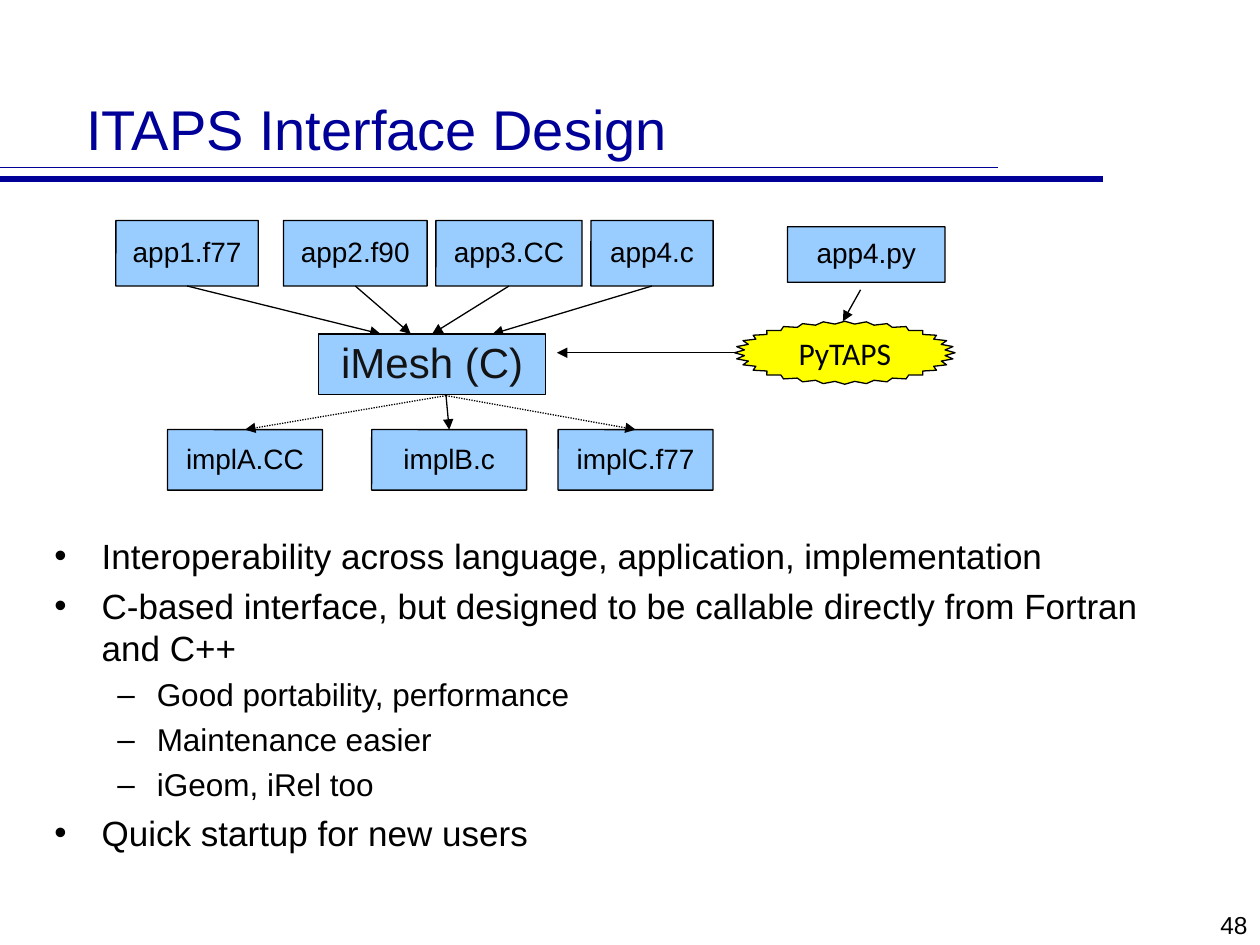
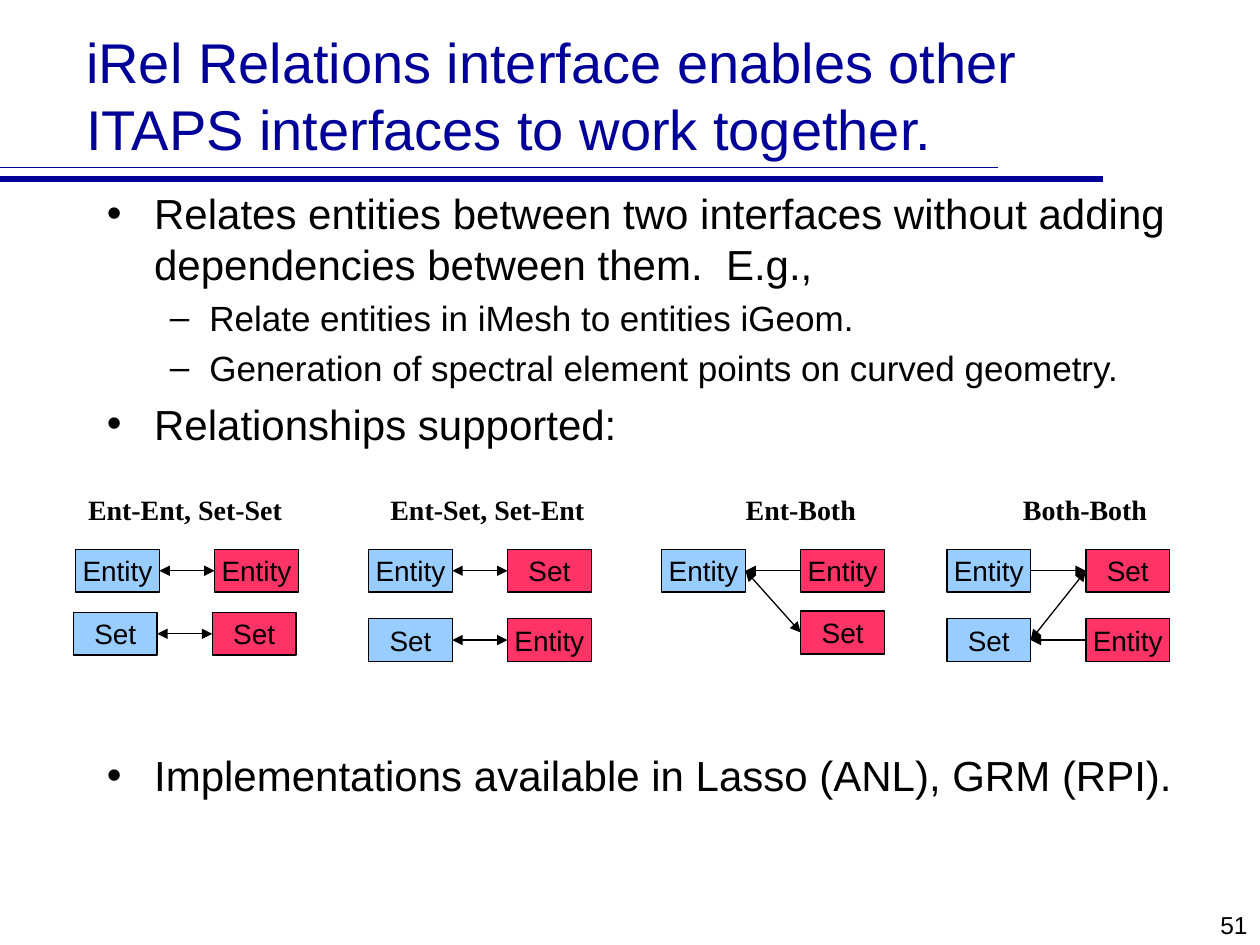
from lxml.etree import SubElement
from pptx import Presentation
from pptx.dml.color import RGBColor
from pptx.enum.dml import MSO_LINE
from pptx.enum.shapes import MSO_CONNECTOR, MSO_SHAPE as SHAPE
from pptx.enum.text import MSO_ANCHOR as ANCHOR, MSO_AUTO_SIZE, PP_ALIGN as ALIGN
from pptx.oxml.ns import qn
from pptx.util import Inches, Pt

NAVY = RGBColor(0x00, 0x00, 0x99)
BLACK = RGBColor(0x00, 0x00, 0x00)
CHARCOAL = RGBColor(0x13, 0x13, 0x13)
SKY = RGBColor(0x99, 0xCC, 0xFF)
ROSE = RGBColor(0xFF, 0x33, 0x66)
YELLOW = RGBColor(0xFF, 0xFF, 0x00)

WIDTH, HEIGHT = Inches(10), Inches(7.5)
COLUMNS = 100
CELL = WIDTH // COLUMNS

BULLETS = [
    {"char": "•", "margin": 3.75, "hang": 3.75},
    {"char": "–", "margin": 8.13, "hang": 3.13},
]
BASE_FONT = {"name": "Arial", "size": 16, "color": BLACK}

APPS = [
    ("app1.f77", 9.2, 11.3, 30.2),
    ("app2.f90", 22.5, 11.4, 32.6),
    ("app3.CC", 34.6, 11.6, 34.3),
    ("app4.c", 46.9, 9.7, 39.1),
]
IMPLEMENTATIONS = [
    ("implA.CC", 13.3, MSO_LINE.ROUND_DOT),
    ("implB.c", 29.5, None),
    ("implC.f77", 44.3, MSO_LINE.ROUND_DOT),
]
DESIGN_POINTS = [
    (0, "Interoperability across language, application, implementation", 20, 0),
    (0, "C-based interface, but designed to be callable directly from Fortran and C++", 20, 4.6),
    (1, "Good portability, performance", 18, 4.1),
    (1, "Maintenance easier", 18, 4.1),
    (1, "iGeom, iRel too", 18, 4.1),
    (0, "Quick startup for new users", 20, 4.6),
]
RELATION_POINTS = [
    (0, "Relates entities between two interfaces without adding dependencies between them.  E.g.,", 24, 0),
    (1, "Relate entities in iMesh to entities iGeom.", 20, 4.6),
    (1, "Generation of spectral element points on curved geometry.", 20, 4.6),
    (0, "Relationships supported:", 24, 5.5),
    (0, "Implementations available in Lasso (ANL), GRM (RPI).", 24, 172),
]

BOTH, LEFT, RIGHT = ("headEnd", "tailEnd"), ("headEnd",), ("tailEnd",)
BOX_W, BOX_H, PAIR_STEP = 6.65, 3.4, 11.03
FIRST_ROW = 43.6
RELATIONS = [
    {"heading": ("Ent-Ent, Set-Set", 6, 17.5), "left": 6, "second_row": 48.6, "shift": -0.18,
     "sources": ["Entity", "Set"], "targets": ["Entity", "Set"],
     "links": [(0, 0, BOTH), (1, 1, BOTH)]},
    {"heading": ("Ent-Set, Set-Ent", 30, 17.5), "left": 29.25, "second_row": 49.1, "shift": 0,
     "sources": ["Entity", "Set"], "targets": ["Set", "Entity"],
     "links": [(0, 0, BOTH), (1, 1, BOTH)]},
    {"heading": ("Ent-Both", 58.2, 10.8), "left": 52.52, "second_row": 48.5, "shift": 0,
     "sources": ["Entity"], "targets": ["Entity", "Set"],
     "links": [(0, 1, BOTH), (0, 0, LEFT)]},
    {"heading": ("Both-Both", 80.2, 11.9), "left": 75.15, "second_row": 49.1, "shift": 0,
     "sources": ["Entity", "Set"], "targets": ["Set", "Entity"],
     "links": [(1, 0, BOTH), (0, 0, RIGHT), (1, 1, LEFT)]},
]


def grid(*cells):
    return [round(c * CELL) for c in cells]


def format_font(font, **values):
    values = BASE_FONT | values
    font.color.rgb = values.pop("color")
    values["size"] = Pt(values["size"])
    for name, value in values.items():
        setattr(font, name, value)


def write(p, text, align=ALIGN.LEFT, **font):
    r = p.add_run()
    r.text = text
    p.alignment = align
    format_font(r.font, **font)


def add_text(s, text, at, align=ALIGN.LEFT, **font):
    tf = s.shapes.add_textbox(*grid(*at)).text_frame
    tf.word_wrap = False
    write(tf.paragraphs[0], text, align, **font)


def add_box(s, text, at, fill=SKY, shape=SHAPE.RECTANGLE, adjust=None, spacing=1.0, **font):
    sp = s.shapes.add_shape(shape, *grid(*at))
    sp.shadow.inherit = False
    sp.fill.solid()
    sp.fill.fore_color.rgb = fill
    sp.line.color.rgb = BLACK
    sp.line.width = Pt(0.75)
    if adjust is not None:
        sp.adjustments[0] = adjust
    tf = sp.text_frame
    tf.word_wrap = False
    tf.vertical_anchor = ANCHOR.MIDDLE
    p = tf.paragraphs[0]
    p.line_spacing = spacing
    write(p, text, ALIGN.CENTER, **font)


def add_program(s, text, at):
    add_box(s, text, at, shape=SHAPE.ROUNDED_RECTANGLE, adjust=0.003, spacing=0.93)


def add_line(s, start, end, color=BLACK, width=0.75, ends=(), dash=None):
    line = s.shapes.add_connector(MSO_CONNECTOR.STRAIGHT, *grid(*start, *end))
    line.line.color.rgb = color
    line.line.width = Pt(width)
    if dash:
        line.line.dash_style = dash
    for end_name in ends:
        SubElement(line.line._get_or_add_ln(), qn(f"a:{end_name}"), type="triangle")
    SubElement(line._element.spPr, qn("a:effectLst"))


def add_bullets(s, points, at):
    tf = s.shapes.add_textbox(*grid(*at)).text_frame
    tf.word_wrap = True
    for i, (level, text, size, before) in enumerate(points):
        p = tf.add_paragraph() if i else tf.paragraphs[0]
        p.level = level
        bullet = BULLETS[level]
        margin, hang = grid(bullet["margin"], bullet["hang"])
        pPr = p._p.get_or_add_pPr()
        pPr.set("marL", str(margin))
        pPr.set("indent", str(-hang))
        SubElement(pPr, qn("a:buFont"), typeface="Arial")
        SubElement(pPr, qn("a:buChar"), char=bullet["char"])
        p.space_before = Pt(before)
        write(p, text, size=size)


def add_slide(prs, title, number):
    s = prs.slides.add_slide(prs.slide_layouts[5])
    for y, length, width in [(13.3, 79.2, 1), (14.2, 87.5, 3)]:
        add_line(s, (0, y), (length, y), NAVY, width)
    sp = s.shapes.title
    sp.left, sp.top, sp.width, sp.height = grid(5.83, 2.5, 76.7, 10.83)
    tf = sp.text_frame
    for name, value in {"word_wrap": True, "vertical_anchor": ANCHOR.BOTTOM,
                        "auto_size": MSO_AUTO_SIZE.NONE}.items():
        setattr(tf, name, value)
    write(tf.paragraphs[0], title, size=32, color=NAVY)
    add_text(s, number, (79.2, 71.7, 20.8, 3.3), ALIGN.RIGHT, size=14)
    return s


def add_interface_diagram(s):
    app_top, app_h, hub_top, hub_bottom, impl_top, impl_w = 17.5, 5.2, 26.5, 31.4, 34.1, 12.3
    for text, left, width, target in APPS:
        add_program(s, text, (left, app_top, width, app_h))
        add_line(s, (left + width / 2, app_top + app_h), (target, hub_top), ends=RIGHT)
    for text, left, dash in IMPLEMENTATIONS:
        add_program(s, text, (left, impl_top, impl_w, 4.8))
        add_line(s, (35.4, hub_bottom), (left + impl_w / 2, impl_top), ends=RIGHT, dash=dash)
    add_box(s, "iMesh (C)", (25.3, hub_top, 18, 4.8), spacing=0.93, size=24, color=CHARCOAL)
    add_box(s, "PyTAPS", (58.3, 25.5, 17.5, 5), YELLOW, SHAPE.STAR_32_POINT, 0.457,
            name="Calibri", size=18)
    add_line(s, (58.3, 28), (44.2, 28), ends=RIGHT)
    add_program(s, "app4.py", (62.5, 18, 12.5, 4.4))
    add_line(s, (68.3, 23), (66.9, 25.5), ends=RIGHT)


def add_relation(s, relation):
    heading, left, width = relation["heading"]
    add_text(s, heading, (left, 38.6, width, 3.7), name="Times New Roman", bold=True)
    rows = [(relation["left"], FIRST_ROW),
            (relation["left"] + relation["shift"], relation["second_row"])]
    for texts, offset, fill in [(relation["sources"], 0, SKY),
                                (relation["targets"], PAIR_STEP, ROSE)]:
        for text, (x, y) in zip(texts, rows):
            add_box(s, text, (x + offset, y, BOX_W, BOX_H), fill)
    for source, target, ends in relation["links"]:
        (x1, y1), (x2, y2) = rows[source], rows[target]
        add_line(s, (x1 + BOX_W, y1 + BOX_H / 2), (x2 + PAIR_STEP, y2 + BOX_H / 2), ends=ends)


def main():
    prs = Presentation()
    prs.slide_width, prs.slide_height = WIDTH, HEIGHT

    s = add_slide(prs, "ITAPS Interface Design", "48")
    add_bullets(s, DESIGN_POINTS, (3.33, 41.9, 89.2, 25))
    add_interface_diagram(s)

    s = add_slide(prs, "iRel Relations interface enables other ITAPS interfaces to work together.", "51")
    add_bullets(s, RELATION_POINTS, (7.5, 14.4, 88.3, 45))
    for relation in RELATIONS:
        add_relation(s, relation)

    prs.save("out.pptx")


if __name__ == "__main__":
    main()
